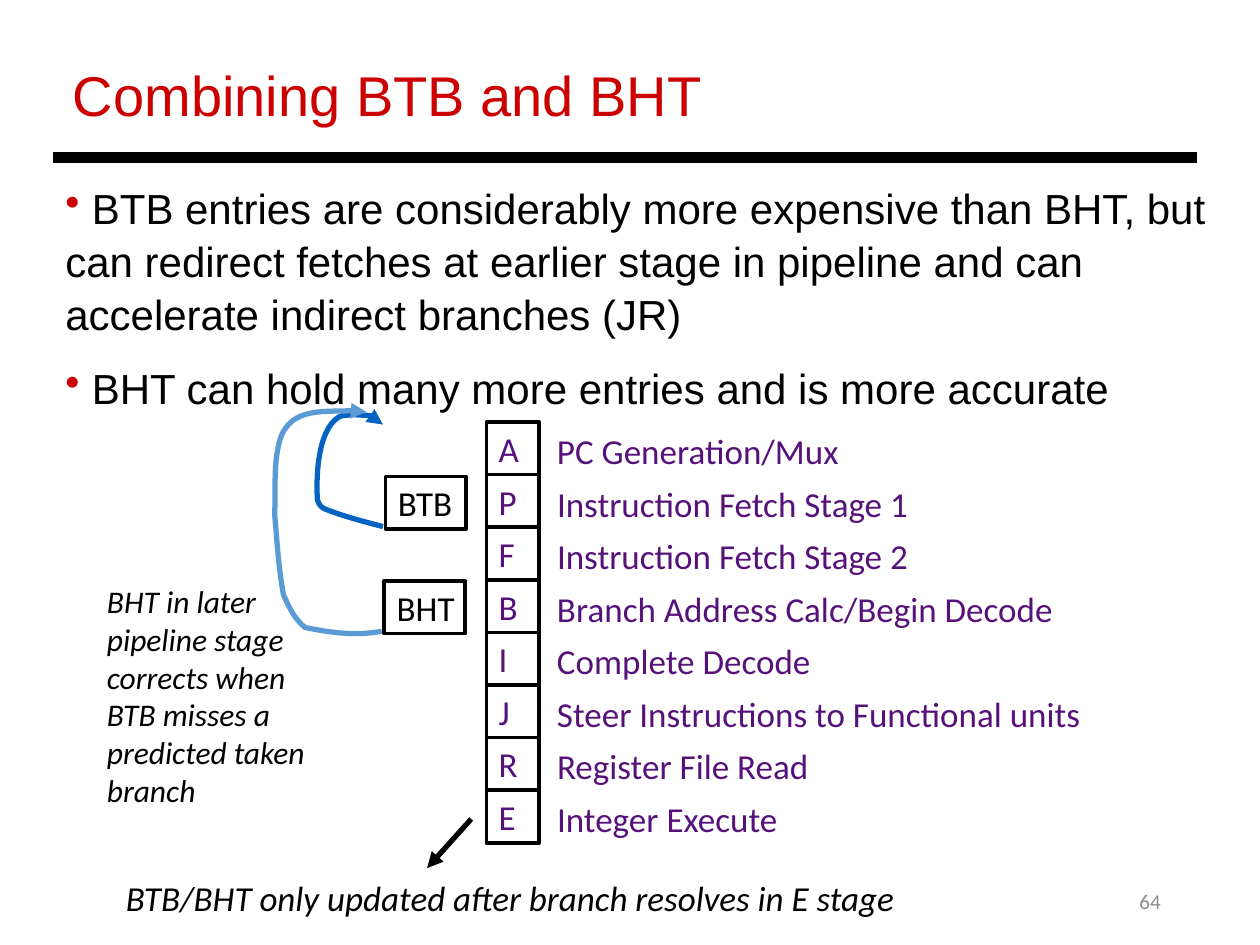
from lxml.etree import SubElement
from pptx import Presentation
from pptx.dml.color import RGBColor
from pptx.enum.shapes import MSO_CONNECTOR as Connector, MSO_SHAPE as Shape
from pptx.enum.text import MSO_ANCHOR as Anchor, PP_ALIGN as Align
from pptx.oxml.ns import qn
from pptx.util import Inches, Pt

BLACK, WHITE, RED, PURPLE = "000000", "FFFFFF", "CC0000", "56127A"
STAGES = [
    ("A", "PC Generation/Mux", 2.53),
    ("P", "Instruction Fetch Stage 1", 3.09),
    ("F", "Instruction Fetch Stage 2", 3.09),
    ("B", "Branch Address Calc/Begin Decode", 4.24),
    ("I", "Complete Decode", 2.3),
    ("J", "Steer Instructions to Functional units", 4.46),
    ("R", "Register File Read", 2.29),
    ("E", "Integer Execute", 2.05),
]
STAGE_TOP, STAGE_PITCH = 3.35, 2.92 / 7
POINTS = [
    "BTB entries are considerably more expensive than BHT, but can redirect fetches "
    "at earlier stage in pipeline and can accelerate indirect branches (JR)",
    "BHT can hold many more entries and is more accurate",
]
# Each curve: a start point, then two control points and an end point per segment
BTB_CURVE = [
    (3.04, 4.18),
    (2.89, 4.14), (2.73, 4.1), (2.58, 4.04),
    (2.55, 4.03), (2.53, 4), (2.52, 3.97),
    (2.51, 3.83), (2.51, 3.42), (2.69, 3.31),
    (2.72, 3.29), (2.77, 3.3), (2.8, 3.29),
    (2.89, 3.3), (2.99, 3.28), (3.04, 3.37),
]
BHT_CURVE = [
    (3.03, 5.01),
    (2.82, 5.05), (2.62, 5.02), (2.42, 4.98),
    (2.33, 4.9), (2.3, 4.83), (2.25, 4.72),
    (2.21, 4.5), (2.2, 4.3), (2.18, 4.08),
    (2.19, 3.9), (2.17, 3.72), (2.21, 3.54),
    (2.27, 3.23), (2.55, 3.27), (2.78, 3.26),
    (2.83, 3.26), (2.91, 3.27), (2.91, 3.27),
]


def color(hex_value):
    return RGBColor.from_string(hex_value)


def style_paragraph(paragraph, text, size, ink, font="Calibri", **formats):
    run = paragraph.add_run()
    run.text = text
    run.font.color.rgb = color(ink)
    for name, value in {"name": font, "size": Pt(size), **formats}.items():
        setattr(run.font, name, value)


def add_label(slide, box, text, size, ink, wrap=True, align=Align.LEFT,
              anchor=Anchor.TOP, **formats):
    frame = slide.shapes.add_textbox(*map(Inches, box)).text_frame
    frame.word_wrap, frame.vertical_anchor = wrap, anchor
    frame.paragraphs[0].alignment = align
    style_paragraph(frame.paragraphs[0], text, size, ink, **formats)


def add_box(slide, box, text, ink):
    shape = slide.shapes.add_shape(Shape.RECTANGLE, *map(Inches, box))
    shape.shadow.inherit = False
    shape.fill.solid()
    shape.fill.fore_color.rgb = color(WHITE)
    shape.line.color.rgb = color(BLACK)
    shape.line.width = Pt(2)
    frame = shape.text_frame
    frame.word_wrap, frame.vertical_anchor = False, Anchor.MIDDLE
    frame.paragraphs[0].alignment = Align.LEFT
    style_paragraph(frame.paragraphs[0], text, 20, ink)


def style_line(shape, ink, width, arrow):
    shape.line.color.rgb = color(ink)
    shape.line.width = Pt(width)
    if arrow:
        SubElement(shape.line._get_or_add_ln(), qn("a:tailEnd"), type="triangle")


def add_line(slide, start, end, width, arrow=False):
    line = slide.shapes.add_connector(Connector.STRAIGHT, *map(Inches, start + end))
    style_line(line, BLACK, width, arrow)
    SubElement(line._element.spPr, qn("a:effectLst"))


def add_curve(slide, points, ink):
    start, *rest = [(Inches(x), Inches(y)) for x, y in points]
    builder = slide.shapes.build_freeform(*start)
    builder.add_line_segments(rest, close=False)
    curve = builder.convert_to_shape()
    curve.shadow.inherit = False
    curve.fill.background()
    style_line(curve, ink, 3, True)
    # Join every three straight segments into one Bezier segment
    segments = list(curve._element.iter(qn("a:lnTo")))
    outline = segments[0].getparent()
    for first in range(0, len(segments), 3):
        bezier = SubElement(outline, qn("a:cubicBezTo"))
        for segment in segments[first:first + 3]:
            bezier.append(segment[0])
            outline.remove(segment)


def add_bullets(slide, box, points):
    frame = slide.shapes.add_textbox(*map(Inches, box)).text_frame
    frame.word_wrap = True
    for index, point in enumerate(points):
        paragraph = frame.add_paragraph() if index else frame.paragraphs[0]
        paragraph.line_spacing = 1.05
        paragraph.space_before = Pt(12 if index else 0)
        props = paragraph._p.get_or_add_pPr()
        bullet_color = SubElement(props, qn("a:buClr"))
        SubElement(bullet_color, qn("a:srgbClr"), val=RED)
        SubElement(props, qn("a:buChar"), char="•")
        style_paragraph(paragraph, " " + point, 24, BLACK, font="Arial")


def add_pipeline(slide):
    for row, (letter, stage, width) in enumerate(STAGES):
        top = STAGE_TOP + row * STAGE_PITCH
        add_box(slide, (3.86, top, 0.42, 0.42), letter, PURPLE)
        add_label(slide, (4.26, top + 0.01, width, 0.44), " " + stage, 20, PURPLE,
                  wrap=False)


def main():
    deck = Presentation()
    deck.slide_width, deck.slide_height = Inches(10), Inches(7.5)
    slide = deck.slides.add_slide(deck.slide_layouts[6])

    # Page number, title and rule
    add_label(slide, (7.06, 6.95, 2.25, 0.4), "64", 12, "8C8C8C",
              align=Align.RIGHT, anchor=Anchor.MIDDLE)
    add_label(slide, (0.48, 0.43, 8.78, 0.64), "Combining BTB and BHT", 32, RED,
              font="Arial")
    add_line(slide, (0.42, 1.25), (9.5, 1.25), 6)

    # Main points and pipeline stages
    add_bullets(slide, (0.42, 1.38, 9.28, 1.88), POINTS)
    add_pipeline(slide)

    # Predictors and their redirects
    add_curve(slide, BTB_CURVE, "0563C1")
    add_box(slide, (3.06, 3.78, 0.64, 0.42), "BTB", BLACK)
    add_box(slide, (3.05, 4.61, 0.64, 0.42), "BHT", BLACK)
    add_curve(slide, BHT_CURVE, "5B9BD5")

    # Remarks
    add_label(slide, (0.75, 4.57, 2.01, 1.9),
              "BHT in later pipeline stage corrects when BTB misses a predicted "
              "taken branch", 18, BLACK, italic=True)
    add_label(slide, (0.9, 6.91, 6.44, 0.44),
              "BTB/BHT only updated after branch resolves in E stage", 20, BLACK,
              wrap=False, italic=True)
    add_line(slide, (3.74, 6.5), (3.39, 6.89), 3, arrow=True)

    deck.save("out.pptx")


if __name__ == "__main__":
    main()
